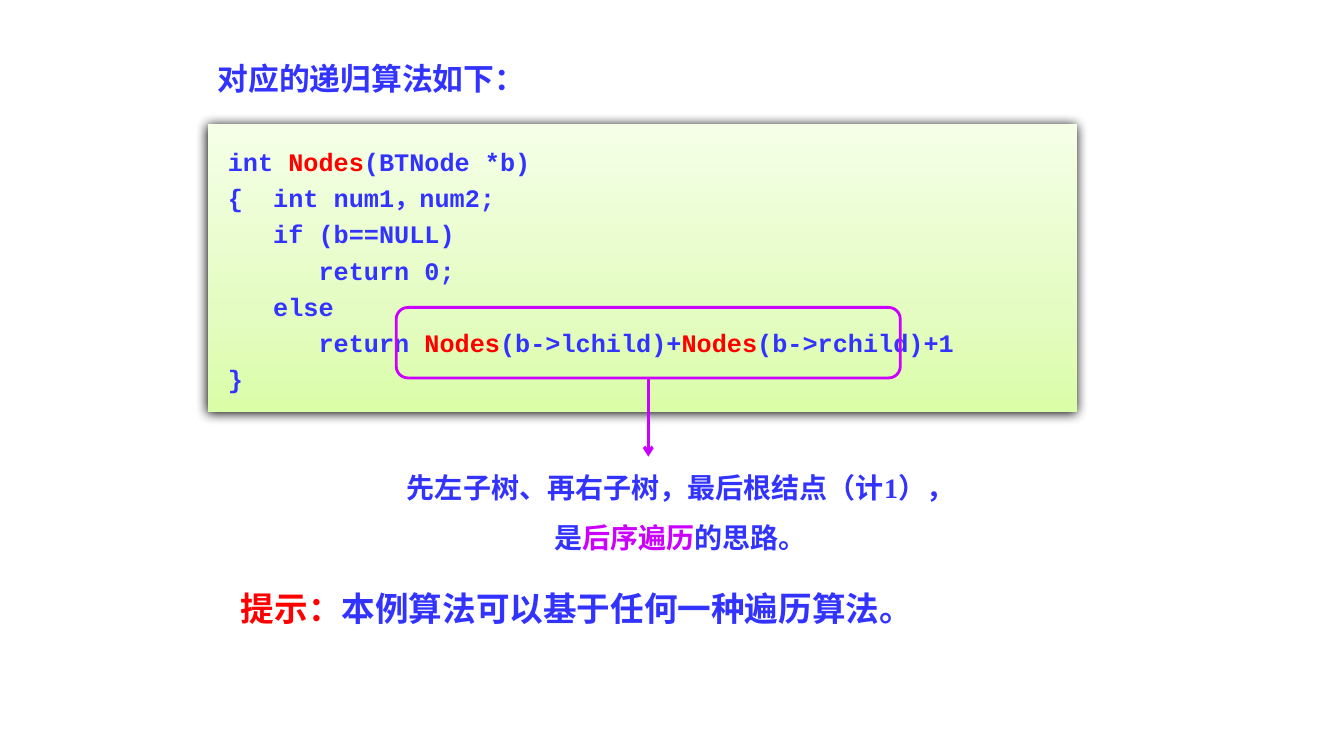
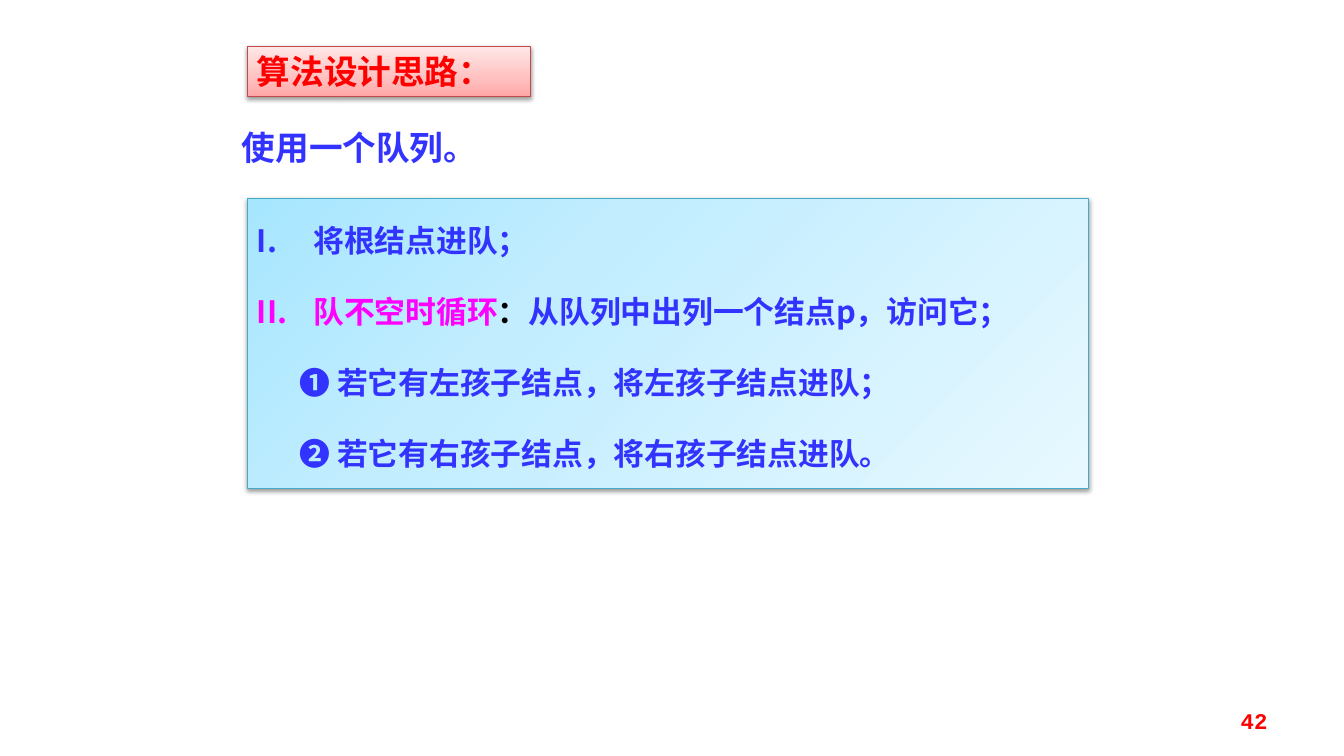
import dataclasses

import pptx
import pptx.dml.color
import pptx.enum.shapes
import pptx.enum.text
import pptx.oxml
import pptx.oxml.ns
import pptx.util
from lxml import etree

Inches = pptx.util.Inches
Pt = pptx.util.Pt
RGB = pptx.dml.color.RGBColor.from_string
MSO = pptx.enum.shapes.MSO_SHAPE
ALIGN = pptx.enum.text.PP_ALIGN
ANCHOR = pptx.enum.text.MSO_ANCHOR
qn = pptx.oxml.ns.qn


@dataclasses.dataclass(frozen=True)
class Theme:
    """Colours, fonts and type sizes shared by the slides."""
    blue: str = "3333FF"
    red: str = "FF0000"
    purple: str = "CC00FF"
    magenta: str = "FF00FF"
    black: str = "000000"
    green_fill: tuple = ("DAFDA7", "E4FCC2", "F5FFE7")
    cyan_fill: tuple = ("A7E6FF", "C1EDFF", "E7F8FF")
    pink_fill: tuple = ("FFA6A5", "FFC0BF", "FFE7E7")
    cyan_line: str = "46AAC5"
    pink_line: str = "BF4C48"
    code_font: str = "Courier New"
    sans: str = "Noto Sans CJK SC"
    serif: str = "Times New Roman"
    title: int = 24
    body: int = 22
    note: int = 20
    code: int = 18
    footer: int = 16


@dataclasses.dataclass(frozen=True)
class Para:
    """One paragraph: coloured runs, left margin, first-line indent, numbering."""
    runs: tuple
    margin: float = 0
    indent: float = 0
    numbered: bool = False


T = Theme()
SOFT_SHADOW = (38, 3.1, 1.6)
GLOW_SHADOW = (100, 8.5, 1)


def add_child(parent, tag, **attrs):
    """Append a DrawingML element and return it."""
    el = etree.SubElement(parent, qn("a:" + tag))
    for name, value in attrs.items():
        el.set(name, str(value))
    return el


def write(sp, paras, size, font, spacing=1.0, half_before=False, align=ALIGN.LEFT,
          anchor=ANCHOR.TOP, insets=(0.1, 0.05)):
    """Fill a shape with paragraphs in one type style."""
    tf = sp.text_frame
    tf.word_wrap = True
    tf.vertical_anchor = anchor
    tf.margin_left, tf.margin_right = Inches(insets[0]), Inches(0.1)
    tf.margin_top = tf.margin_bottom = Inches(insets[1])
    for i, para in enumerate(paras):
        p = tf.paragraphs[0] if i == 0 else tf.add_paragraph()
        p.alignment = align
        p.line_spacing = spacing
        pPr = p._p.get_or_add_pPr()
        pPr.set("marL", str(Inches(para.margin)))
        pPr.set("indent", str(Inches(para.indent)))
        if half_before:
            add_child(add_child(pPr, "spcBef"), "spcPct", val=50000)
        if para.numbered:
            add_child(pPr, "buFont", typeface=T.sans)
            add_child(pPr, "buAutoNum", type="romanUcPeriod")
        for text, color in para.runs:
            r = p.add_run()
            r.text = text
            r.font.size = Pt(size)
            r.font.bold = True
            r.font.name = font
            r.font.color.rgb = RGB(color)
            add_child(r._r.get_or_add_rPr(), "ea", typeface=T.sans)


def add_label(s, box, runs, size, font, **style):
    """Add a one-paragraph text box."""
    sp = s.shapes.add_textbox(*map(Inches, box))
    write(sp, [Para(runs)], size, font, **style)
    return sp


def add_panel(s, box, colors, angle, shadow, line=None):
    """Add a rectangle with a three-stop gradient and a shadow."""
    sp = s.shapes.add_shape(MSO.RECTANGLE, *map(Inches, box))
    sp.fill.gradient()
    grad = sp._element.spPr.find(qn("a:gradFill"))
    for child in list(grad):
        grad.remove(child)
    stops = add_child(grad, "gsLst")
    for pos, color in zip((0, 35, 100), colors):
        add_child(add_child(stops, "gs", pos=pos * 1000), "srgbClr", val=color)
    add_child(grad, "lin", ang=angle * 60000, scaled=0)
    if line:
        sp.line.color.rgb = RGB(line)
        sp.line.width = Pt(0.75)
    else:
        sp.line.fill.background()
    sp.shadow.inherit = False
    alpha, blur, dist = shadow
    effects = sp._element.spPr.find(qn("a:effectLst"))
    outer = add_child(effects, "outerShdw", blurRad=Pt(blur), dist=Pt(dist),
                      dir=90 * 60000, algn="ctr", rotWithShape=0)
    add_child(add_child(outer, "srgbClr", val=T.black), "alpha", val=alpha * 1000)
    return sp


def code_panel(s, box):
    """Draw the green panel with the recursive function."""
    step = 0.45
    lines = [
        Para((("int ", T.blue), ("Nodes", T.red), ("(BTNode *b)", T.blue))),
        Para((("{\tint num1，num2;", T.blue),), step, -step),
        Para((("if (b==NULL)", T.blue),), step),
        Para((("return 0;", T.blue),), 2 * step),
        Para((("else", T.blue),), step),
        Para((("return ", T.blue), ("Nodes", T.red), ("(b->lchild)+", T.blue),
              ("Nodes", T.red), ("(b->rchild)+1", T.blue)), 2 * step),
        Para((("}", T.blue),)),
    ]
    sp = add_panel(s, box, T.green_fill, 270, GLOW_SHADOW)
    write(sp, lines, T.code, T.code_font, spacing=1.2, insets=(0.2, 0.16))


def callout(s, box):
    """Draw a rounded frame with an arrow down to its explanation."""
    x, y, w, h = box
    sp = s.shapes.add_shape(MSO.ROUNDED_RECTANGLE, *map(Inches, box))
    sp.fill.background()
    sp.line.color.rgb = RGB(T.purple)
    sp.line.width = Pt(2)
    sp.shadow.inherit = False

    mid, bottom = x + w / 2, y + h
    arrow = s.shapes.add_connector(
        pptx.enum.shapes.MSO_CONNECTOR.STRAIGHT,
        *map(Inches, (mid, bottom, mid, bottom + 0.78)))
    arrow.line.color.rgb = RGB(T.purple)
    arrow.line.width = Pt(2.25)
    add_child(arrow.line._get_or_add_ln(), "tailEnd", type="arrow")
    add_child(arrow._element.spPr, "effectLst")

    note = s.shapes.add_textbox(*map(Inches, (x - 0.15, bottom + 0.7, 5.94, 1.05)))
    write(note, [
        Para((("先左子树、再右子树，最后根结点（计1），", T.blue),)),
        Para((("是", T.blue), ("后序遍历", T.purple), ("的思路。", T.blue))),
    ], T.note, T.serif, spacing=1.5, align=ALIGN.CENTER)


def queue_steps(s, box):
    """Draw the blue panel with the steps of the queue algorithm."""
    hang, sub = 0.56, 0.42
    steps = [
        Para((("将根结点进队；", T.blue),), hang, -hang, True),
        Para((("队不空时循环", T.magenta), ("：", T.black),
              ("从队列中出列一个结点p，访问它；", T.blue)), hang, -hang, True),
        Para((("❶ 若它有左孩子结点，将左孩子结点进队；", T.blue),), sub),
        Para((("❷ 若它有右孩子结点，将右孩子结点进队。", T.blue),), sub),
    ]
    sp = add_panel(s, box, T.cyan_fill, 45, SOFT_SHADOW, T.cyan_line)
    write(sp, steps, T.body, T.sans, spacing=1.5, half_before=True)


def heading_tag(s, box, text):
    """Draw the pink heading panel."""
    sp = add_panel(s, box, T.pink_fill, 270, SOFT_SHADOW, T.pink_line)
    write(sp, [Para(((text, T.red),))], T.title, T.sans)


def recursion_slide(s):
    """Build the slide with the recursive algorithm."""
    code_panel(s, (2.06, 1.23, 8.62, 2.86))
    add_label(s, (2.29, 5.78, 7.01, 0.5),
              (("提示：", T.red), ("本例算法可以基于任何一种遍历算法。", T.blue)),
              T.title, T.sans, half_before=True)
    add_label(s, (2.06, 0.47, 4.49, 0.5), (("对应的递归算法如下：", T.blue),),
              T.body, T.serif, spacing=1.2)
    callout(s, (3.93, 3.05, 5, 0.7))


def queue_slide(s):
    """Build the slide with the queue-based design."""
    queue_steps(s, (2.45, 1.97, 8.35, 2.88))
    heading_tag(s, (2.45, 0.46, 2.81, 0.5), "算法设计思路：")
    add_label(s, (2.3, 1.21, 2.89, 0.5), (("使用一个队列。", T.blue),),
              T.title, T.sans)
    add_label(s, (9.56, 6.95, 3.11, 0.4), (("42", T.red),), T.footer,
              T.code_font, align=ALIGN.RIGHT, anchor=ANCHOR.MIDDLE)


def main():
    """Build and save the presentation."""
    prs = pptx.Presentation()
    prs.slide_width, prs.slide_height = Inches(13.33), Inches(7.5)
    for build in (recursion_slide, queue_slide):
        build(prs.slides.add_slide(prs.slide_layouts[6]))
    prs.save("out.pptx")


if __name__ == "__main__":
    main()
